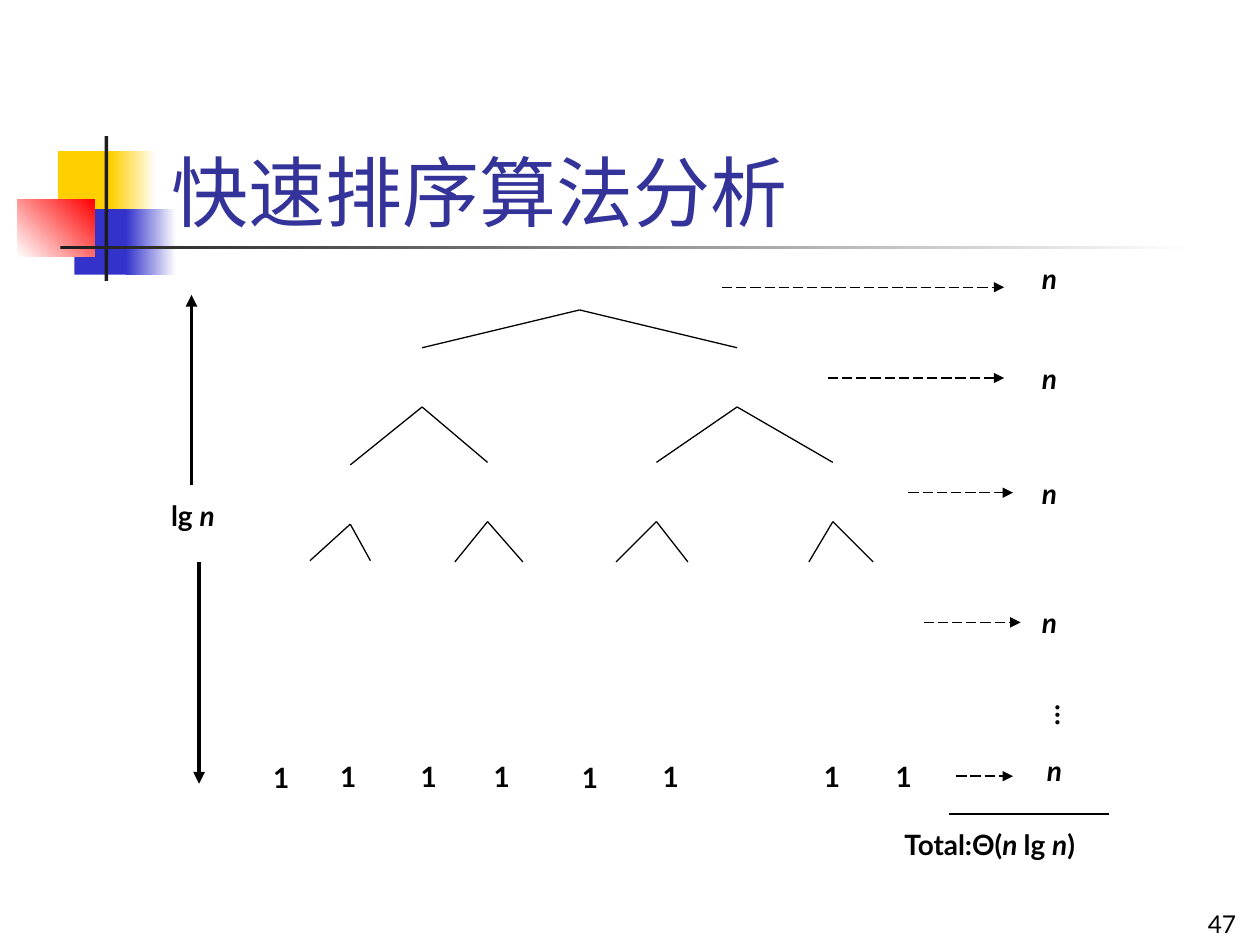
from lxml import etree
from pptx import Presentation
from pptx import util as u
from pptx.dml.color import RGBColor
from pptx.enum import dml, shapes, text
from pptx.oxml.ns import qn

PX = 9144


def px(*lengths):
    return [u.Emu(length * PX) for length in lengths]


def color(value):
    return RGBColor.from_string(value)


class SlideBuilder:
    """Draws styled elements on the current slide, with lengths in px of 1/100 inch."""

    font = "Lato"
    ink = "000000"
    label_size = 16

    def __init__(self, slide):
        self.slide = slide

    def add_run(self, paragraph, words, size, ink, bold=False, italic=False):
        run = paragraph.add_run()
        run.text = words
        run.font.name = self.font
        run.font.size = u.Pt(size)
        run.font.bold = bold
        run.font.italic = italic
        run.font.color.rgb = color(ink)

    def title(self, words, box, size, ink):
        shape = self.slide.shapes.title
        shape.left, shape.top, shape.width, shape.height = px(*box)
        frame = shape.text_frame
        frame.word_wrap = True
        frame.auto_size = text.MSO_AUTO_SIZE.NONE
        frame.vertical_anchor = text.MSO_ANCHOR.BOTTOM
        paragraph = frame.paragraphs[0]
        paragraph.alignment = text.PP_ALIGN.LEFT
        self.add_run(paragraph, words, size, ink)
        shape.element.getparent().append(shape.element)

    def block(self, box, start, end=None, angle=0):
        shape = self.slide.shapes.add_shape(shapes.MSO_SHAPE.RECTANGLE, *px(*box))
        shape.shadow.inherit = False
        shape.line.fill.background()
        if end is None:
            shape.fill.solid()
            shape.fill.fore_color.rgb = color(start)
            return
        shape.fill.gradient()
        shape.fill.gradient_angle = angle
        for stop, position, value in zip(shape.fill.gradient_stops, (0, 1), (start, end)):
            stop.position = position
            stop.color.rgb = color(value)

    def label(self, box, runs, vertical=False):
        shape = self.slide.shapes.add_textbox(*px(*box))
        frame = shape.text_frame
        frame.word_wrap = False
        frame.auto_size = text.MSO_AUTO_SIZE.SHAPE_TO_FIT_TEXT
        if vertical:
            shape.element.txBody.find(qn("a:bodyPr")).set("vert", "eaVert")
        for words, italic in runs:
            self.add_run(frame.paragraphs[0], words, self.label_size, self.ink, True, italic)

    def page_number(self, words, box, size):
        shape = self.slide.shapes.add_textbox(*px(*box))
        frame = shape.text_frame
        frame.word_wrap = True
        frame.vertical_anchor = text.MSO_ANCHOR.BOTTOM
        paragraph = frame.paragraphs[0]
        paragraph.alignment = text.PP_ALIGN.RIGHT
        self.add_run(paragraph, words, size, self.ink)

    def line(self, start, end, width=0.75, arrow=False, dashed=False):
        connector = self.slide.shapes.add_connector(
            shapes.MSO_CONNECTOR.STRAIGHT, *px(*start, *end))
        connector.line.color.rgb = color(self.ink)
        connector.line.width = u.Pt(width)
        if dashed:
            connector.line.dash_style = dml.MSO_LINE.LONG_DASH
        properties = connector.element.spPr
        if arrow:
            outline = properties.find(qn("a:ln"))
            etree.SubElement(outline, qn("a:tailEnd"), type="triangle")
        etree.SubElement(properties, qn("a:effectLst"))

    def branch(self, apex, left, right, bottom):
        for x in (left, right):
            self.line(apex, (x, bottom))


def main():
    presentation = Presentation()
    presentation.slide_width, presentation.slide_height = px(1000, 750)
    builder = SlideBuilder(presentation.slides.add_slide(presentation.slide_layouts[5]))

    builder.block((46, 120, 48, 52), "FFCF01")
    builder.block((88, 120, 36, 52), "FFCF01", "FFFFFF")
    builder.block((59, 166, 46, 52), "3333CC")
    builder.block((100, 166, 40, 52), "3333CC", "FFFFFF")
    builder.block((14, 158, 61, 46), "FFFFFF", "FF0000", 45)
    builder.block((83, 108, 3, 115), "1C1C1C")
    builder.block((48, 195, 900, 3), "1C1C1C", "FFFFFF")

    for left, top in ((207, 599), (260, 598), (324, 598), (382, 598),
                      (452, 599), (516, 598), (644, 598), (701, 598)):
        builder.label((left, top, 31, 37), [("1", False)])

    builder.branch((460, 246), 335, 585, 276)
    builder.line((335, 323), (278, 369))
    builder.line((335, 323), (387, 367))
    builder.branch((585, 323), 521, 661, 367)
    builder.branch((278, 416), 246, 294, 445)
    for x, left, right in ((387, 361, 415), (521, 489, 546), (661, 642, 693)):
        builder.branch((x, 414), left, right, 446)

    cost_rows = ((817, 203, 573, 797, 228), (817, 282, 657, 797, 300),
                 (817, 373, 721, 804, 391), (817, 476, 733, 810, 494),
                 (821, 593, 759, 804, 616))
    for left, top, start, end, y in cost_rows:
        builder.label((left, top, 33, 37), [("n", True)])
        builder.line((start, y), (end, y), arrow=True, dashed=True)
    builder.label((818, 549, 47, 33), [("…", False)], vertical=True)

    builder.line((753, 646), (880, 646))
    builder.label((708, 652, 163, 37), [("Total:Θ(", False), ("n ", True), ("lg ", False),
                                        ("n", True), (")", False)])

    builder.label((126, 391, 56, 37), [("lg ", False), ("n", True)])
    builder.line((152, 385), (152, 234), 2.25, arrow=True)
    builder.line((158, 446), (158, 622), 2.25, arrow=True)

    builder.title("快速排序算法分析", (126, 68, 852, 125), 44, "333399")
    builder.page_number("47", (783, 700, 208, 50), 14)
    presentation.save("out.pptx")


if __name__ == "__main__":
    main()
